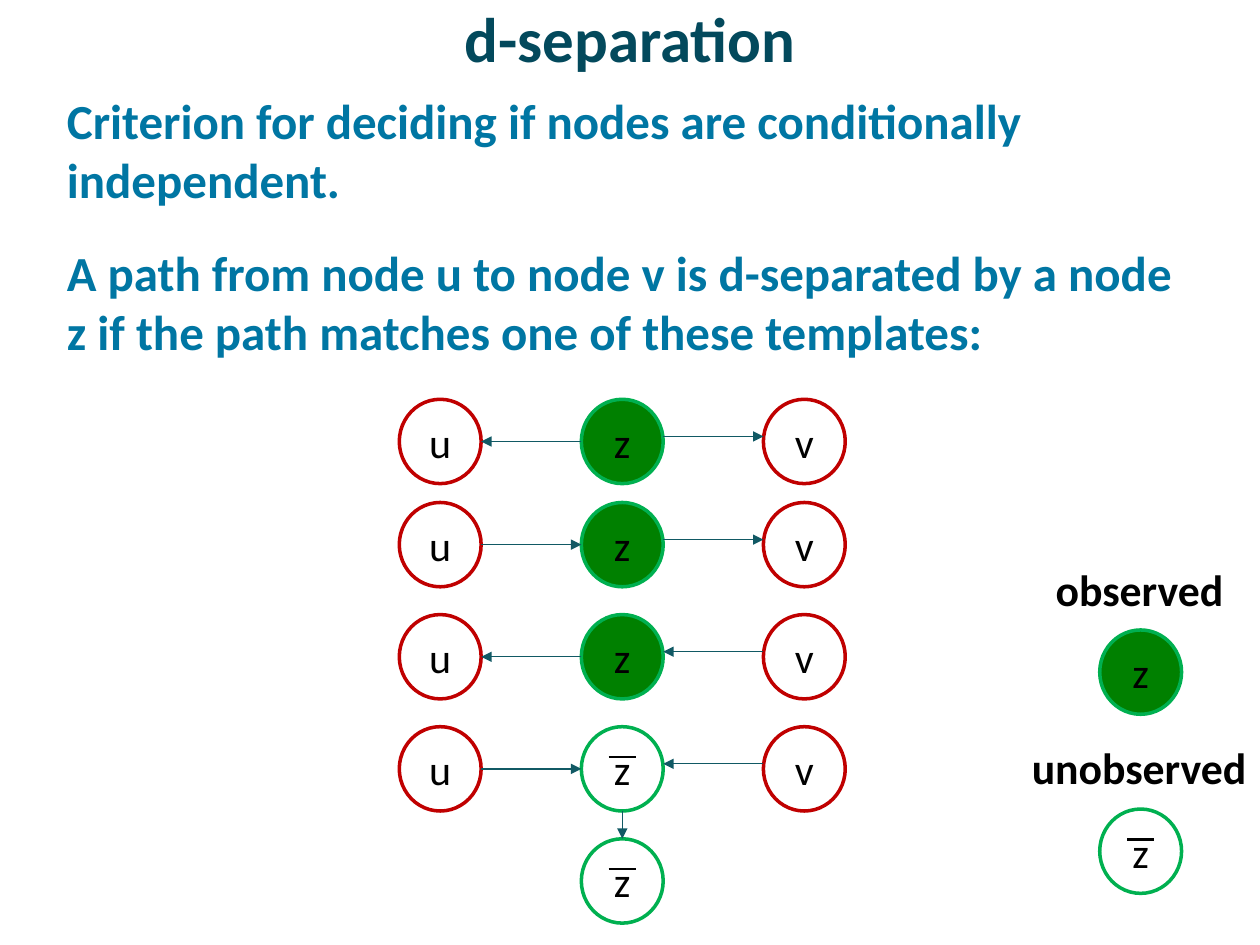
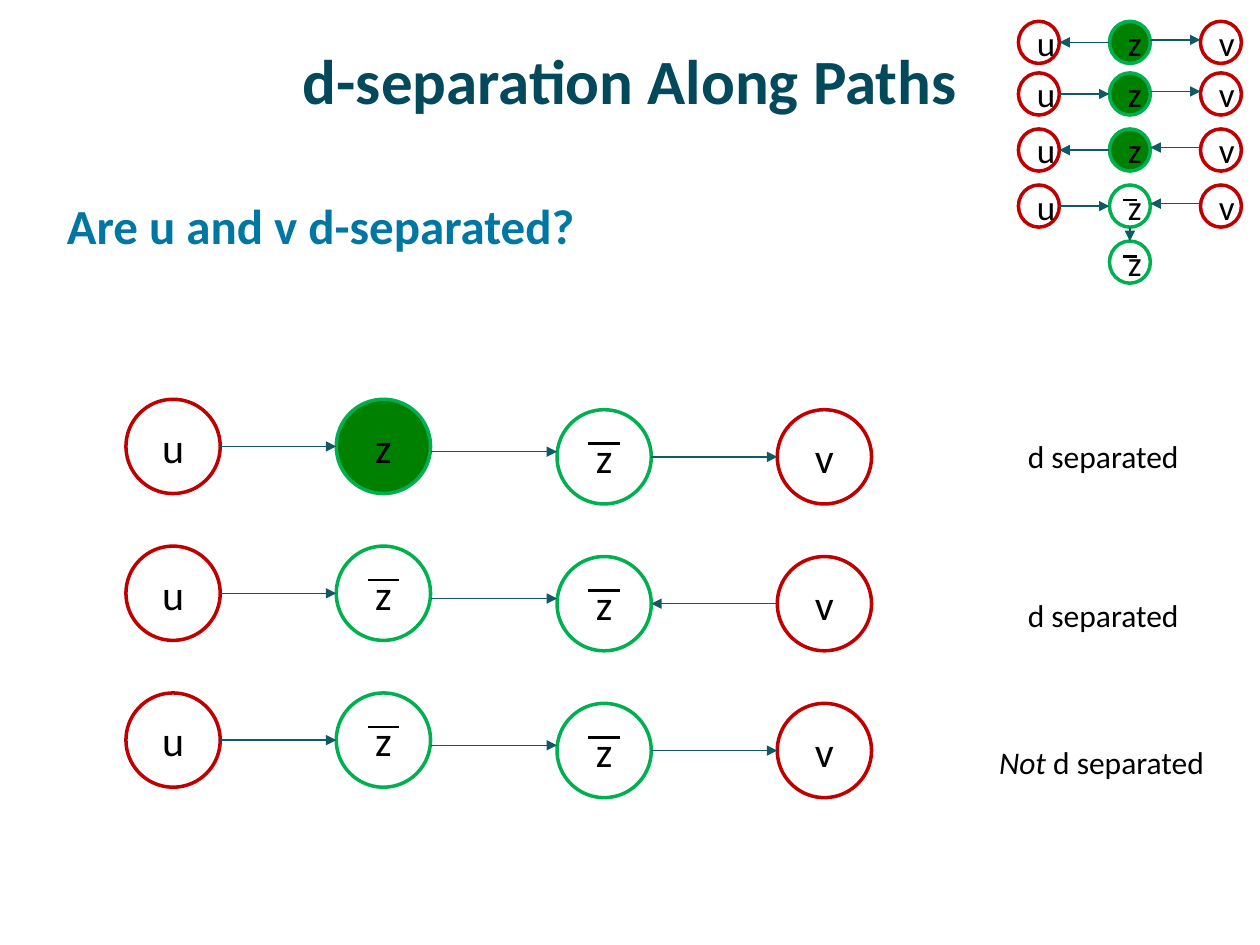
"""Build two slides on d-separation in graphical models."""
from lxml.etree import SubElement
from pptx import Presentation
from pptx.dml.color import RGBColor
from pptx.enum.shapes import MSO_CONNECTOR, MSO_SHAPE
from pptx.enum.text import MSO_ANCHOR, MSO_AUTO_SIZE, PP_ALIGN
from pptx.oxml.ns import qn
from pptx.util import Cm, Pt

FONT = "Calibri"
TITLE_COLOR = RGBColor(0x03, 0x49, 0x5C)
BODY_COLOR = RGBColor(0x00, 0x76, 0xA3)
BLACK = RGBColor(0x00, 0x00, 0x00)
END_LINE = RGBColor(0xC0, 0x00, 0x00)
MID_LINE = RGBColor(0x00, 0xB0, 0x50)
OBSERVED_FILL = RGBColor(0x00, 0x80, 0x00)
ARROW_COLOR = RGBColor(0x11, 0x59, 0x64)

NODE_W, NODE_H = 1.65, 1.7
COLUMN_STEP = 3.67
ROW_OFFSETS = (0, 2.08, 4.34, 6.6, 8.86)
TEMPLATES = (
    (True, "out", "out"),
    (True, "in", "out"),
    (True, "out", "in"),
    (False, "in", "in"),
)

PATH_NODE = 1.9
PATH_COLUMNS = ((2.54, 0), (6.78, 0), (11.23, 0.21), (15.67, 0.21))
PATH_TOP, PATH_STEP = 8.05, 2.96
PATHS = (
    ((True, False), (True, True, True)),
    ((False, False), (True, True, False)),
    ((False, False), (True, True, True)),
)


def set_font(font, size, color, bold=False):
    font.name, font.size, font.bold = FONT, Pt(size), bold
    font.color.rgb = color


def add_titled_slide(prs, title, top, height):
    slide = prs.slides.add_slide(prs.slide_layouts[5])
    sp = slide.shapes.title
    sp.left, sp.top, sp.width, sp.height = Cm(1.27), Cm(top), Cm(22.86), Cm(height)
    tf = sp.text_frame
    tf.text = title
    tf.vertical_anchor = MSO_ANCHOR.MIDDLE
    p = tf.paragraphs[0]
    p.alignment = PP_ALIGN.CENTER
    set_font(p.font, 36, TITLE_COLOR, True)
    return slide


def add_body(slide, top, height, paragraphs):
    tf = slide.shapes.add_textbox(Cm(0.84), Cm(top), Cm(23.29), Cm(height)).text_frame
    tf.word_wrap = True
    tf.margin_left = Cm(0.51)
    for i, text in enumerate(paragraphs):
        p = tf.paragraphs[0] if i == 0 else tf.add_paragraph()
        p.text = text
        if i:
            p.space_before = Pt(19.8)
        set_font(p.font, 28, BODY_COLOR, True)


def add_label(slide, x, y, w, h, runs, size, bold=False):
    tf = slide.shapes.add_textbox(Cm(x), Cm(y), Cm(w), Cm(h)).text_frame
    tf.word_wrap = False
    tf.auto_size = MSO_AUTO_SIZE.SHAPE_TO_FIT_TEXT
    p = tf.paragraphs[0]
    for text, italic in runs:
        r = p.add_run()
        r.text = text
        if italic:
            r.font.italic = True
    set_font(p.font, size, BLACK, bold)


def add_line(shapes, x1, y1, x2, y2, color, width):
    line = shapes.add_connector(MSO_CONNECTOR.STRAIGHT, Cm(x1), Cm(y1), Cm(x2), Cm(y2))
    line.line.color.rgb = color
    line.line.width = Pt(width)
    SubElement(line._element.spPr, qn("a:effectLst"))
    return line


def add_arrow(shapes, x1, y1, x2, y2, forward=True):
    if not forward:
        x1, y1, x2, y2 = x2, y2, x1, y1
    line = add_line(shapes, x1, y1, x2, y2, ARROW_COLOR, 0.75)
    SubElement(line.line._get_or_add_ln(), qn("a:tailEnd"), type="triangle")


def add_node(shapes, name, x, y, w, h, size=24, observed=False):
    sp = shapes.add_shape(MSO_SHAPE.OVAL, Cm(x), Cm(y), Cm(w), Cm(h))
    sp.shadow.inherit = False
    if observed:
        sp.fill.solid()
        sp.fill.fore_color.rgb = OBSERVED_FILL
    else:
        sp.fill.background()
    sp.line.color.rgb = MID_LINE if name == "z" else END_LINE
    sp.line.width = Pt(2)
    tf = sp.text_frame
    tf.text = name
    tf.vertical_anchor = MSO_ANCHOR.MIDDLE
    p = tf.paragraphs[0]
    p.alignment = PP_ALIGN.CENTER
    set_font(p.font, size, BLACK)
    if name == "z" and not observed:
        bar_y = y + 0.36 * h
        add_line(shapes, x + w / 3, bar_y, x + 2 * w / 3, bar_y, BLACK, 1.5)


def add_templates(slide, left, top, scale=1, size=24):
    shapes = slide.shapes.add_group_shape().shapes
    w, h = NODE_W * scale, NODE_H * scale
    u_x, z_x, v_x = (left + i * COLUMN_STEP * scale for i in range(3))
    rows = [top + offset * scale for offset in ROW_OFFSETS]
    for y, (observed, u_side, v_side) in zip(rows, TEMPLATES):
        add_node(shapes, "u", u_x, y, w, h, size)
        add_node(shapes, "z", z_x, y, w, h, size, observed)
        add_node(shapes, "v", v_x, y, w, h, size)
        u_y, v_y = y + 0.5 * h, y + 0.44 * h
        add_arrow(shapes, u_x + w, u_y, z_x, u_y, u_side == "in")
        add_arrow(shapes, z_x + w, v_y, v_x, v_y, v_side == "out")
    add_node(shapes, "z", z_x, rows[4], w, h, size)
    add_arrow(shapes, z_x + w / 2, rows[3] + h, z_x + w / 2, rows[4])


def add_path(slide, top, observed, directions):
    shapes = slide.shapes
    nodes = zip("uzzv", PATH_COLUMNS, (False, *observed, False))
    for name, (x, drop), seen in nodes:
        add_node(shapes, name, x, top + drop, PATH_NODE, PATH_NODE, observed=seen)
    links = zip(PATH_COLUMNS, PATH_COLUMNS[1:], directions)
    for (x1, drop1), (x2, drop2), forward in links:
        y = top + PATH_NODE / 2 + (drop1 + drop2) / 2
        add_arrow(shapes, x1 + PATH_NODE, y, x2, y, forward)


def build_criterion_slide(prs):
    slide = add_titled_slide(prs, "d-separation", -0.2, 1.9)
    add_body(slide, 1.7, 5.92, (
        "Criterion for deciding if nodes are conditionally independent.",
        "A path from node u to node v is d-separated by a node z if the path "
        "matches one of these templates:",
    ))
    add_templates(slide, 8.05, 8.05)
    add_node(slide.shapes, "z", 22.17, 12.7, NODE_W, NODE_H, observed=True)
    add_label(slide, 21.03, 11.23, 3.94, 1.32, [("observed", False)], 25, True)
    add_label(slide, 20.55, 14.81, 4.9, 1.32, [("unobserved", False)], 25, True)
    add_node(slide.shapes, "z", 22.17, 16.31, NODE_W, NODE_H)


def build_paths_slide(prs):
    slide = add_titled_slide(prs, "d-separation Along Paths", 0.43, 2.34)
    add_body(slide, 3.81, 13.21, ("Are u and v d-separated?",))
    add_templates(slide, 20.53, 0.43, 0.5, 20)
    for i, (observed, directions) in enumerate(PATHS):
        add_path(slide, PATH_TOP + i * PATH_STEP, observed, directions)
    for y in (8.69, 11.89):
        add_label(slide, 20.47, y, 3.61, 1.02, [("d separated", False)], 18)
    verdict = [("Not ", True), ("d separated", False)]
    add_label(slide, 19.89, 14.86, 4.75, 1.02, verdict, 18)


def main():
    prs = Presentation()
    prs.slide_width, prs.slide_height = Cm(25.4), Cm(19.05)
    build_criterion_slide(prs)
    build_paths_slide(prs)
    prs.save("out.pptx")


if __name__ == "__main__":
    main()
